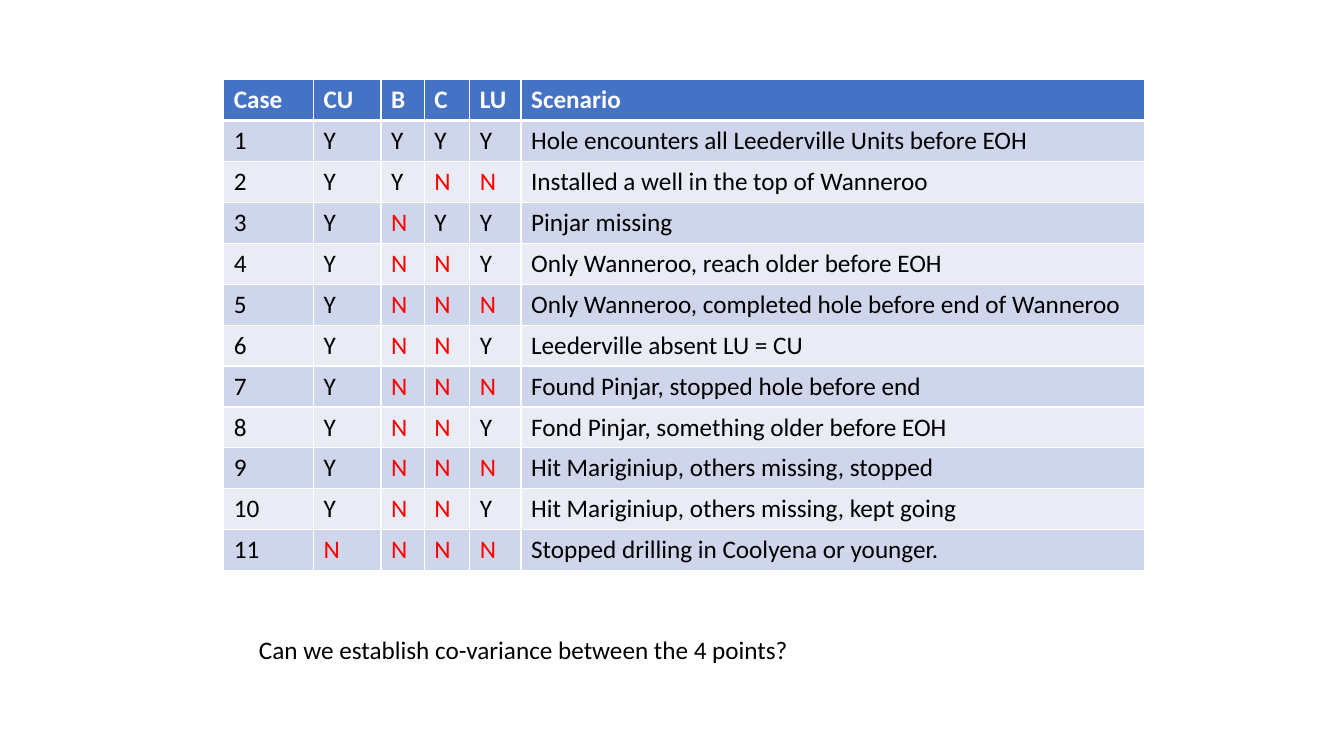
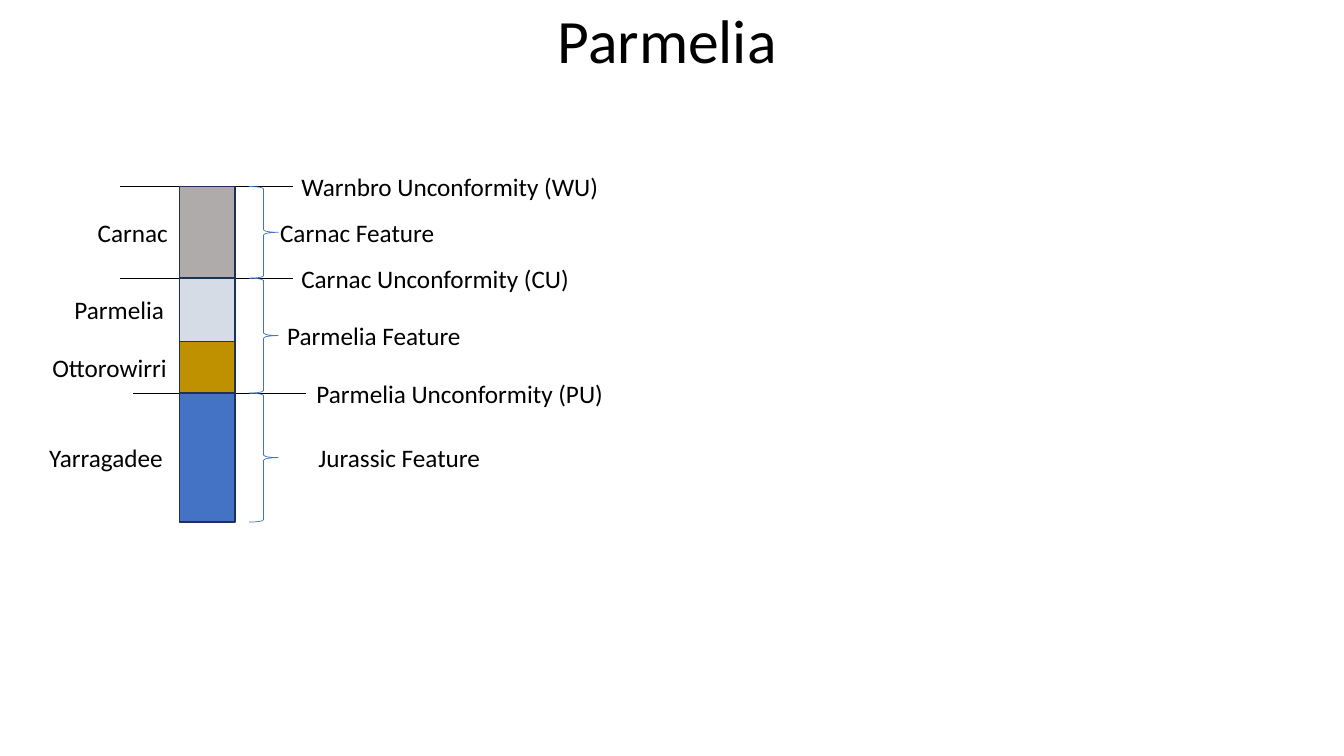
from dataclasses import dataclass
from typing import NamedTuple

from lxml.etree import SubElement
from pptx import Presentation
from pptx.dml.color import RGBColor
from pptx.enum.shapes import MSO_CONNECTOR as Connector, MSO_SHAPE as Preset
from pptx.enum.text import MSO_ANCHOR as Anchor, PP_ALIGN as Align
from pptx.oxml.ns import qn
from pptx.util import Inches, Length, Pt


@dataclass(frozen=True)
class Theme:
    font: str = "Calibri"
    title_size: float = 44
    body_size: float = 18
    thin: float = 0.5
    outline: float = 1
    header_rule: float = 3
    white: str = "FFFFFF"
    black: str = "000000"
    red: str = "FF0000"
    blue: str = "4472C4"
    navy: str = "1E3256"
    bands: tuple[str, str] = ("CFD5EA", "E9EBF5")


class Case(NamedTuple):
    answers: str
    scenario: str


class Unit(NamedTuple):
    name: str
    thickness: float
    color: str
    label_left: float
    label_width: float


class Unconformity(NamedTuple):
    name: str
    above_unit: int
    line_left: float
    label_left: float
    label_width: float


class Feature(NamedTuple):
    name: str
    first_unit: int
    last_unit: int
    label_left: float
    label_width: float


THEME = Theme()

# Lengths below are columns and rows of a grid with ten steps to the inch.
SLIDE_COLUMNS, SLIDE_ROWS = 133.33, 75
LABEL_HEIGHT = 4
LOG_LEFT, LOG_TOP, LOG_WIDTH = 17.8, 18.5, 5.5
LINE_WIDTH = 17.2
BRACE_LEFT, BRACE_WIDTH = 24.7, 2.9
TABLE_LEFT, TABLE_TOP, TABLE_ROW = 22.2, 7.9, 4.06
TABLE_COLUMNS = (8.9, 6.7, 4.3, 4.5, 5.1, 61.9)

HEADINGS = ("Case", "CU", "B", "C", "LU", "Scenario")
CASES = (
    Case("YYYY", "Hole encounters all Leederville Units before EOH"),
    Case("YYNN", "Installed a well in the top of Wanneroo"),
    Case("YNYY", "Pinjar missing"),
    Case("YNNY", "Only Wanneroo, reach older before EOH"),
    Case("YNNN", "Only Wanneroo, completed hole before end of Wanneroo"),
    Case("YNNY", "Leederville absent LU = CU"),
    Case("YNNN", "Found Pinjar, stopped hole before end"),
    Case("YNNY", "Fond Pinjar, something older before EOH"),
    Case("YNNN", "Hit Mariginiup, others missing, stopped"),
    Case("YNNY", "Hit Mariginiup, others missing, kept going"),
    Case("NNNN", "Stopped drilling in Coolyena or younger."),
)
UNITS = (
    Unit("Carnac", 9.1, "AFABAB", 8.7, 9.1),
    Unit("Parmelia", 6.3, "D6DCE5", 6.4, 11),
    Unit("Ottorowirri", 5.1, "BF9000", 4.2, 13.5),
    Unit("Yarragadee", 12.8, THEME.blue, 3.9, 13.4),
)
UNCONFORMITIES = (
    Unconformity("Warnbro Unconformity (WU)", 0, 11.9, 28.9, 31.8),
    Unconformity("Carnac Unconformity (CU)", 1, 11.9, 28.9, 28.9),
    Unconformity("Parmelia Unconformity (PU)", 3, 13.2, 30.4, 30.7),
)
FEATURES = (
    Feature("Carnac Feature", 0, 0, 26.8, 17.5),
    Feature("Parmelia Feature", 1, 2, 27.5, 19.4),
    Feature("Jurassic Feature", 3, 3, 30.6, 18.2),
)


def grid(steps: float) -> Length:
    return Inches(steps / 10)


def rgb(color: str) -> RGBColor:
    return RGBColor.from_string(color)


def write(frame, text: str, *, size: float = THEME.body_size,
          color: str = THEME.black, bold: bool = False,
          align: Align = Align.LEFT, spacing: float = 1.0) -> None:
    para = frame.paragraphs[0]
    para.alignment = align
    para.line_spacing = spacing
    span = para.add_run()
    span.text = text
    span.font.name = THEME.font
    span.font.size = Pt(size)
    span.font.bold = bold
    span.font.color.rgb = rgb(color)


def add_label(slide, text: str, left: float, middle: float, width: float) -> None:
    """Place one line of text, centred vertically on a grid row."""
    box = slide.shapes.add_textbox(grid(left), grid(middle - LABEL_HEIGHT / 2),
                                   grid(width), grid(LABEL_HEIGHT))
    box.text_frame.word_wrap = False
    write(box.text_frame, text)


def add_preset(slide, preset: Preset, left: float, top: float, width: float,
               height: float, *, line: str, weight: float,
               fill: str | None = None) -> None:
    shape = slide.shapes.add_shape(preset, grid(left), grid(top),
                                   grid(width), grid(height))
    shape.shadow.inherit = False
    if fill:
        shape.fill.solid()
        shape.fill.fore_color.rgb = rgb(fill)
    else:
        shape.fill.background()
    shape.line.color.rgb = rgb(line)
    shape.line.width = Pt(weight)


def add_level_line(slide, left: float, row: float) -> None:
    line = slide.shapes.add_connector(Connector.STRAIGHT, grid(left), grid(row),
                                      grid(left + LINE_WIDTH), grid(row))
    line.line.color.rgb = rgb(THEME.black)
    line.line.width = Pt(THEME.thin)
    SubElement(line._element.spPr, qn("a:effectLst"))


def add_borders(cell, *, top: float, bottom: float) -> None:
    properties = cell._tc.get_or_add_tcPr()
    weights = {"L": THEME.outline, "R": THEME.outline, "T": top, "B": bottom}
    for side, weight in weights.items():
        border = SubElement(properties, qn(f"a:ln{side}"), w=str(Pt(weight)))
        fill = SubElement(border, qn("a:solidFill"))
        SubElement(fill, qn("a:srgbClr"), val=THEME.white)


def add_case_table(slide) -> None:
    rows = [HEADINGS] + [(str(number), *case.answers, case.scenario)
                         for number, case in enumerate(CASES, start=1)]
    table = slide.shapes.add_table(
        len(rows), len(HEADINGS), grid(TABLE_LEFT), grid(TABLE_TOP),
        grid(sum(TABLE_COLUMNS)), grid(TABLE_ROW * len(rows))).table
    for column, width in zip(table.columns, TABLE_COLUMNS):
        column.width = grid(width)
    for row_index, texts in enumerate(rows):
        table.rows[row_index].height = grid(TABLE_ROW)
        header = row_index == 0
        fill = THEME.blue if header else THEME.bands[(row_index - 1) % 2]
        for column_index, text in enumerate(texts):
            cell = table.cell(row_index, column_index)
            add_borders(
                cell,
                top=THEME.header_rule if row_index == 1 else THEME.outline,
                bottom=THEME.header_rule if header else THEME.outline)
            cell.fill.solid()
            cell.fill.fore_color.rgb = rgb(fill)
            body_color = THEME.red if text == "N" else THEME.black
            write(cell.text_frame, text, bold=header,
                  color=THEME.white if header else body_color)


def add_title(slide, text: str) -> None:
    title = slide.shapes.title
    title.left, title.top = grid(8.7), grid(-0.9)
    title.width, title.height = grid(115), grid(10.5)
    title.text_frame.vertical_anchor = Anchor.MIDDLE
    write(title.text_frame, text, size=THEME.title_size,
          align=Align.CENTER, spacing=0.9)


def add_strata_log(slide) -> None:
    """Stack the units downwards and mark their boundaries and features."""
    levels = [LOG_TOP]
    for unit in UNITS:
        levels.append(levels[-1] + unit.thickness)

    for boundary in UNCONFORMITIES:
        row = levels[boundary.above_unit]
        add_level_line(slide, boundary.line_left, row)
        add_label(slide, boundary.name, boundary.label_left, row,
                  boundary.label_width)
    for unit, top in zip(UNITS, levels):
        add_preset(slide, Preset.RECTANGLE, LOG_LEFT, top, LOG_WIDTH,
                   unit.thickness, fill=unit.color, line=THEME.navy,
                   weight=THEME.outline)
        add_label(slide, unit.name, unit.label_left, top + unit.thickness / 2,
                  unit.label_width)
    for feature in FEATURES:
        top, bottom = levels[feature.first_unit], levels[feature.last_unit + 1]
        add_preset(slide, Preset.RIGHT_BRACE, BRACE_LEFT, top, BRACE_WIDTH,
                   bottom - top, line=THEME.blue, weight=THEME.thin)
        add_label(slide, feature.name, feature.label_left, (top + bottom) / 2,
                  feature.label_width)


def main() -> None:
    deck = Presentation()
    deck.slide_width, deck.slide_height = grid(SLIDE_COLUMNS), grid(SLIDE_ROWS)
    title_only, blank = deck.slide_layouts[5], deck.slide_layouts[6]

    cases_slide = deck.slides.add_slide(blank)
    add_case_table(cases_slide)
    add_label(cases_slide, "Can we establish co-variance between the 4 points?",
              24.7, 64.4, 55.2)

    strata_slide = deck.slides.add_slide(title_only)
    add_title(strata_slide, "Parmelia")
    add_strata_log(strata_slide)

    deck.save("out.pptx")


if __name__ == "__main__":
    main()
